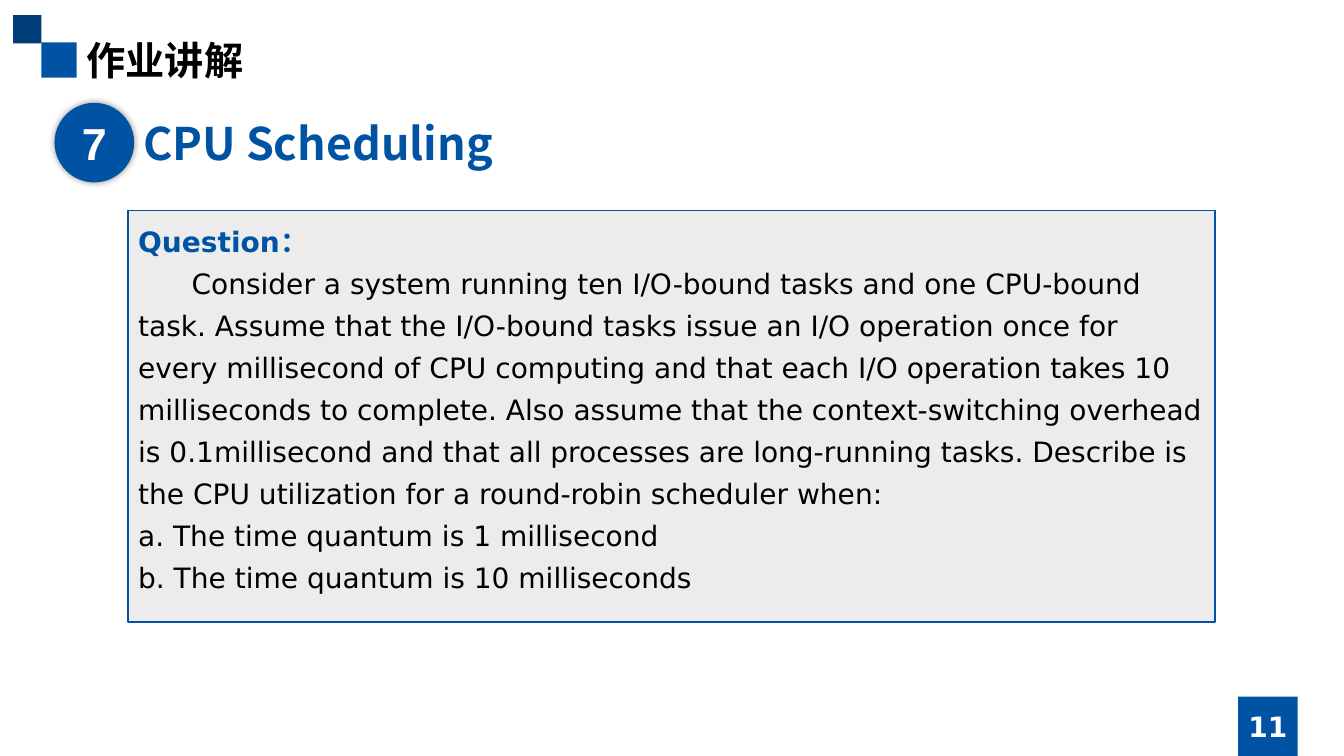
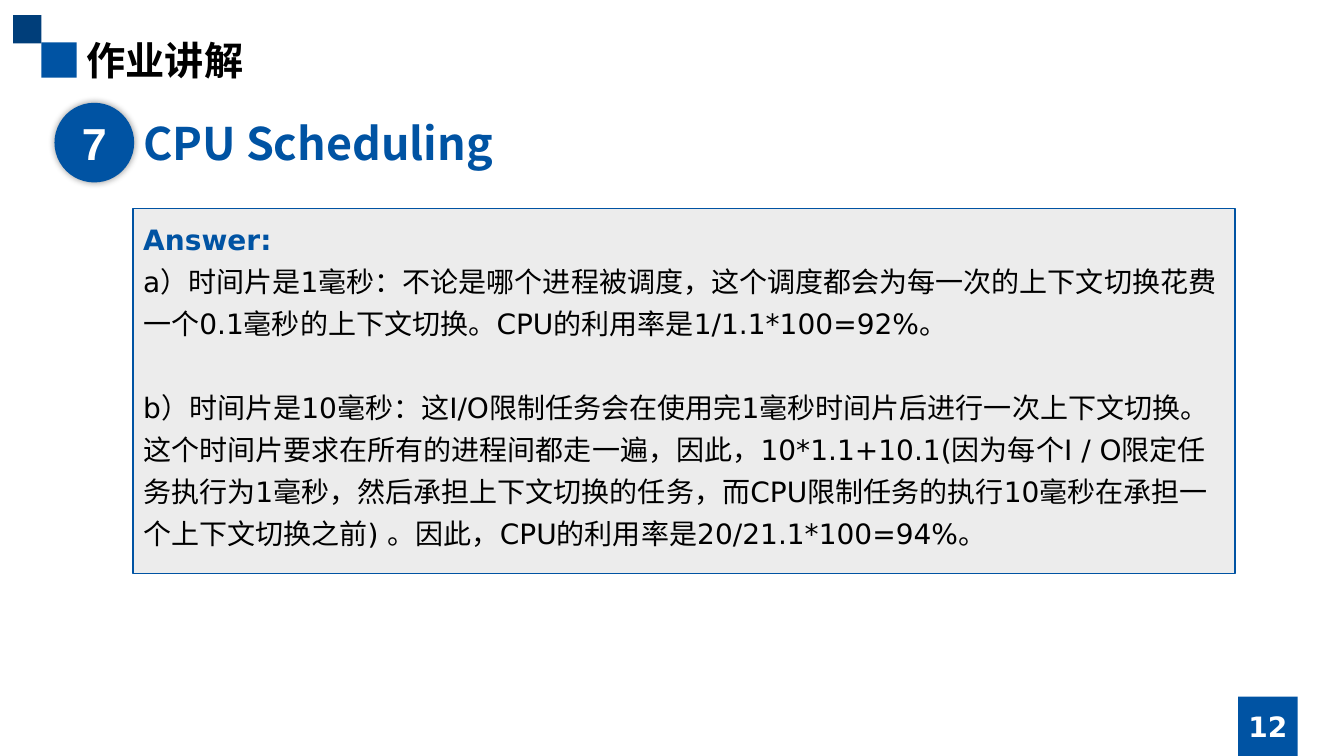
from dataclasses import dataclass

from pptx import Presentation, util as u
from pptx.dml.color import RGBColor
from pptx.enum import shapes, text
from pptx.oxml import ns, xmlchemy


@dataclass(frozen=True)
class Theme:
    blue: str = "0053A3"
    navy: str = "003E7A"
    panel: str = "ECECEC"
    black: str = "000000"
    white: str = "FFFFFF"
    heading_font: str = "Noto Sans CJK SC"
    body_font: str = "DejaVu Sans"
    badge_font: str = "Arial"
    title_size: int = 28
    heading_size: int = 32
    body_size: int = 20
    line_spacing: float = 1.25


def add_xml(parent, tag, **attributes):
    child = xmlchemy.OxmlElement(tag)
    for name, value in attributes.items():
        child.set(name, str(value))
    parent.append(child)
    return child


def write(p, content, size, color, font, bold=True, align=text.PP_ALIGN.LEFT,
          spacing=1.0, before=0, indent=0):
    p.alignment = align
    p.line_spacing = spacing
    p.space_before = u.Pt(before)
    pPr = p._p.get_or_add_pPr()
    pPr.set("marL", "0")
    pPr.set("indent", str(u.Inches(indent)))
    add_xml(pPr, "a:buNone")
    r = p.add_run()
    r.text = content
    r.font.size = u.Pt(size)
    r.font.bold = bold
    r.font.color.rgb = RGBColor.from_string(color)
    r.font.name = font
    add_xml(r.font._element, "a:ea", typeface=font)


class Deck:
    def __init__(self, theme):
        self.theme = theme
        self.prs = Presentation()
        self.prs.slide_width = u.Inches(13.33)
        self.prs.slide_height = u.Inches(7.5)
        self.s = None

    def place(self, sp, left, top, width, height):
        sp.left, sp.top = u.Inches(left), u.Inches(top)
        sp.width, sp.height = u.Inches(width), u.Inches(height)
        tf = sp.text_frame
        tf.word_wrap = True
        tf.auto_size = text.MSO_AUTO_SIZE.NONE
        tf.vertical_anchor = text.MSO_ANCHOR.TOP
        return tf

    def fill(self, sp, color):
        sp.fill.solid()
        sp.fill.fore_color.rgb = RGBColor.from_string(color)

    def block(self, left, top, side, color, kind=shapes.MSO_SHAPE.RECTANGLE):
        sp = self.s.shapes.add_shape(kind, *map(u.Inches, (left, top, side, side)))
        sp.shadow.inherit = False
        sp.line.fill.background()
        self.fill(sp, color)
        return sp

    def label(self, sp, content, size, font):
        tf = sp.text_frame
        tf.word_wrap = False
        tf.vertical_anchor = text.MSO_ANCHOR.MIDDLE
        write(tf.paragraphs[0], content, size, self.theme.white, font,
              align=text.PP_ALIGN.CENTER)

    def new_slide(self, title, page):
        t = self.theme
        self.s = self.prs.slides.add_slide(self.prs.slide_layouts[1])
        self.block(0.41, 0.42, 0.35, t.blue)
        self.block(0.13, 0.15, 0.28, t.navy)
        self.label(self.block(12.28, 6.91, 0.59, t.blue), str(page),
                   t.body_size, t.body_font)
        tf = self.place(self.s.shapes.title, 0.76, 0.31, 5.91, 0.57)
        write(tf.paragraphs[0], title, t.title_size, t.black, t.heading_font)

    def heading(self, number, content):
        t = self.theme
        badge = self.block(0.54, 1.02, 0.79, t.blue, shapes.MSO_SHAPE.OVAL)
        effects = badge._element.spPr.find(ns.qn("a:effectLst"))
        shadow = add_xml(effects, "a:outerShdw", blurRad=u.Pt(5), dist=0, dir=0,
                         algn="ctr", rotWithShape=0)
        add_xml(add_xml(shadow, "a:srgbClr", val=t.black), "a:alpha", val=40000)
        self.label(badge, str(number), t.heading_size, t.badge_font)
        box = self.s.shapes.add_textbox(0, 0, 0, 0)
        tf = self.place(box, 1.32, 1.1, 5.91, 0.64)
        write(tf.paragraphs[0], content, t.heading_size, t.blue, t.heading_font)

    def panel(self, left, top, width, height, lead, paragraphs):
        t = self.theme
        body = self.s.placeholders[1]
        tf = self.place(body, left, top, width, height)
        self.fill(body, t.panel)
        body.line.color.rgb = RGBColor.from_string(t.blue)
        body.line.width = u.Pt(1)
        write(tf.paragraphs[0], lead, t.body_size, t.blue, t.body_font,
              spacing=t.line_spacing)
        for content, layout in paragraphs:
            write(tf.add_paragraph(), content, t.body_size, t.black, t.body_font,
                  bold=False, spacing=t.line_spacing, **layout)


QUESTION = [
    ("Consider a system running ten I/O-bound tasks and one CPU-bound task. "
     "Assume that the I/O-bound tasks issue an I/O operation once for every "
     "millisecond of CPU computing and that each I/O operation takes 10 "
     "milliseconds to complete. Also assume that the context-switching overhead "
     "is 0.1millisecond and that all processes are long-running tasks. Describe "
     "is the CPU utilization for a round-robin scheduler when:", {"indent": 0.53}),
    ("a. The time quantum is 1 millisecond", {}),
    ("b. The time quantum is 10 milliseconds", {}),
]

ANSWER = [
    ("a）时间片是1毫秒：不论是哪个进程被调度，这个调度都会为每一次的上下文切换"
     "花费一个0.1毫秒的上下文切换。CPU的利用率是1/1.1*100=92%。", {}),
    ("b）时间片是10毫秒：这I/O限制任务会在使用完1毫秒时间片后进行一次上下文切换。"
     "这个时间片要求在所有的进程间都走一遍，因此，10*1.1+10.1(因为每个I / O"
     "限定任务执行为1毫秒，然后承担上下文切换的任务，而CPU限制任务的执行10毫秒"
     "在承担一个上下文切换之前) 。因此，CPU的利用率是20/21.1*100=94%。",
     {"before": 30}),
]


def main():
    deck = Deck(Theme())
    panels = [
        ((1.27, 2.09, 10.78, 4.08), "Question：", QUESTION),
        ((1.32, 2.07, 10.93, 3.62), "Answer:", ANSWER),
    ]
    for page, (box, lead, paragraphs) in enumerate(panels, start=11):
        deck.new_slide("作业讲解", page)
        deck.heading(7, "CPU Scheduling")
        deck.panel(*box, lead, paragraphs)
    deck.prs.save("out.pptx")


if __name__ == "__main__":
    main()
